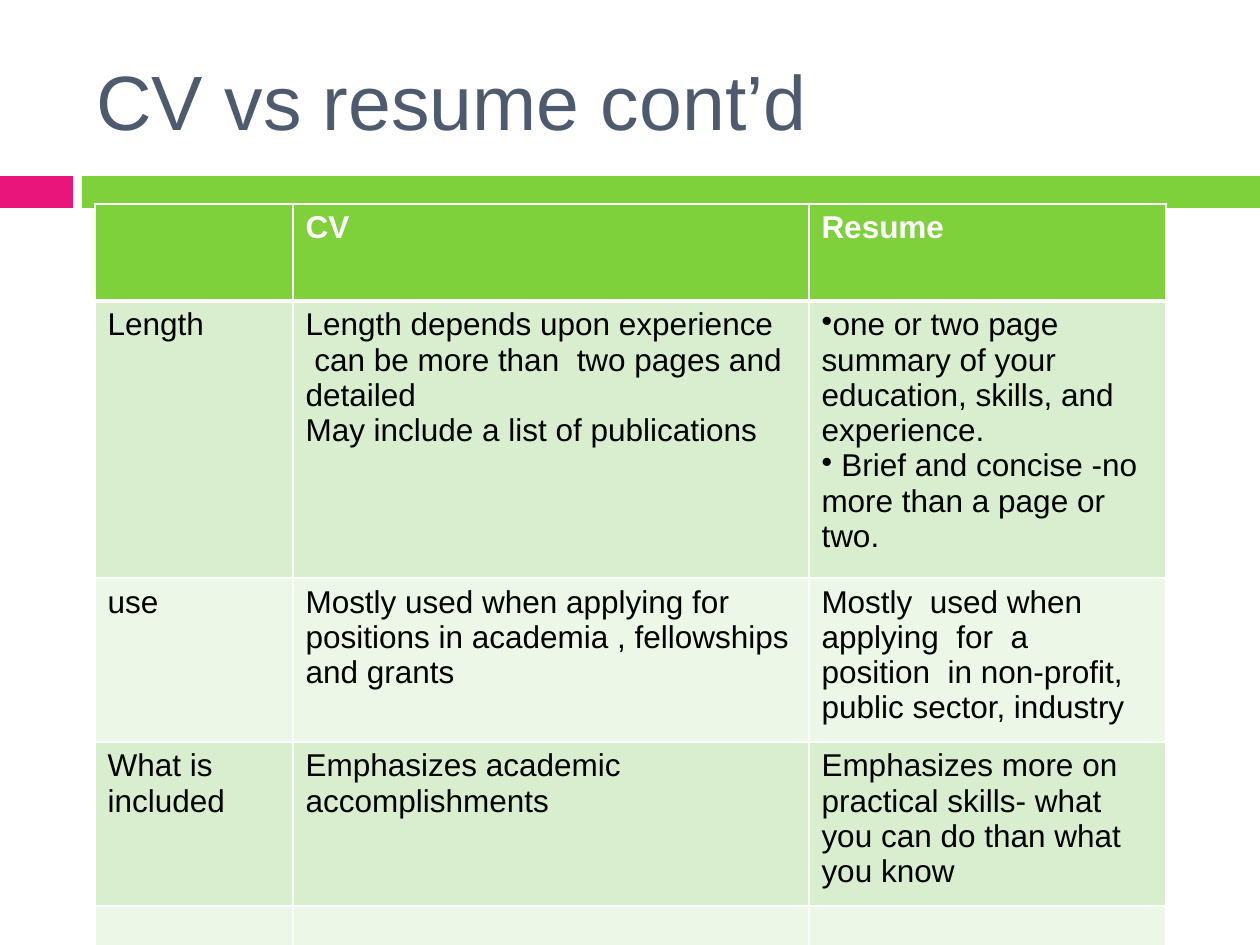
from dataclasses import dataclass

from pptx import Presentation
from pptx.dml.color import RGBColor
from pptx.enum.shapes import MSO_SHAPE
from pptx.enum.text import MSO_ANCHOR
from pptx.oxml.ns import qn
from pptx.util import Emu, Pt
from lxml.etree import SubElement

# Content: each cell is a list of paragraphs; a leading bullet marks a list item
TITLE = "CV vs resume cont’d"
ROWS = [
    [[], ["CV"], ["Resume"]],
    [["Length"],
     ["Length depends upon experience",
      " can be more than  two pages and detailed",
      "May include a list of publications"],
     ["•one or two page summary of your education, skills, and experience.",
      "• Brief and concise -no more than a page or two."]],
    [["use"],
     ["Mostly used when applying for positions in academia , fellowships and grants"],
     ["Mostly  used when  applying  for  a  position  in non-profit, public sector, industry"]],
    [["What is included"],
     ["Emphasizes academic accomplishments"],
     ["Emphasizes more on practical skills- what you can do than what you know"]],
    [[], [], []],
    [[], [], []],
]


@dataclass(frozen=True)
class Theme:
    font: str = "Arial"
    title_size: int = 44
    body_size: int = 18
    title: str = "4E5B6F"
    pink: str = "EA157A"
    green: str = "7FD13B"
    bands: tuple = ("D8EECE", "ECF7E8")
    white: str = "FFFFFF"
    black: str = "000000"


THEME = Theme()

# Layout in px
SLIDE_W, SLIDE_H = 1260, 945
BAR_TOP, BAR_H = 176, 32
BARS = [(0, 73, THEME.pink), (82, SLIDE_W - 82, THEME.green)]
TITLE_BOX = (84, 32, 1124, 136)
TABLE_LEFT, TABLE_TOP = 95, 204
COL_WIDTHS = [198, 516, 357]
ROW_H = 97


def px(n):
    return Emu(round(n * 914400 / 126))


def rgb(value):
    return RGBColor.from_string(value)


def style(p, size, color, bold=False):
    p.font.name = THEME.font
    p.font.size = Pt(size)
    p.font.bold = bold
    p.font.color.rgb = rgb(color)


def add_bar(s, left, width, color):
    sp = s.shapes.add_shape(MSO_SHAPE.RECTANGLE, px(left), px(BAR_TOP), px(width), px(BAR_H))
    sp.shadow.inherit = False
    sp.fill.solid()
    sp.fill.fore_color.rgb = rgb(color)
    sp.line.fill.background()


def add_title(s):
    tf = s.shapes.add_textbox(*map(px, TITLE_BOX)).text_frame
    tf.word_wrap = True
    tf.vertical_anchor = MSO_ANCHOR.MIDDLE
    p = tf.paragraphs[0]
    p.text = TITLE
    style(p, THEME.title_size, THEME.title)


def set_borders(cell, widths):
    tc_pr = cell._tc.get_or_add_tcPr()
    for side, width in widths.items():
        ln = SubElement(tc_pr, qn(f"a:ln{side}"), w=str(Pt(width)))
        fill = SubElement(ln, qn("a:solidFill"))
        SubElement(fill, qn("a:srgbClr"), val=THEME.white)


def fill_cell(cell, paragraphs, row):
    header = row == 0
    set_borders(cell, {"L": 1, "R": 1, "T": 3 if row == 1 else 1, "B": 3 if header else 1})
    cell.fill.solid()
    cell.fill.fore_color.rgb = rgb(THEME.green if header else THEME.bands[(row - 1) % 2])
    tf = cell.text_frame
    for i, text in enumerate(paragraphs or [""]):
        p = tf.paragraphs[0] if i == 0 else tf.add_paragraph()
        if text.startswith("•"):
            SubElement(p._p.get_or_add_pPr(), qn("a:buChar"), char="•")
        p.text = text.removeprefix("•")
        style(p, THEME.body_size, THEME.white if header else THEME.black, header)


def add_comparison(s):
    table = s.shapes.add_table(
        len(ROWS), len(COL_WIDTHS), px(TABLE_LEFT), px(TABLE_TOP),
        px(sum(COL_WIDTHS)), px(ROW_H * len(ROWS))).table
    for column, width in zip(table.columns, COL_WIDTHS):
        column.width = px(width)
    for r, row in enumerate(ROWS):
        table.rows[r].height = px(ROW_H)
        for c, paragraphs in enumerate(row):
            fill_cell(table.cell(r, c), paragraphs, r)


def main():
    prs = Presentation()
    prs.slide_width, prs.slide_height = px(SLIDE_W), px(SLIDE_H)
    s = prs.slides.add_slide(prs.slide_layouts[6])
    for bar in BARS:
        add_bar(s, *bar)
    add_title(s)
    add_comparison(s)
    prs.save("out.pptx")


if __name__ == "__main__":
    main()
